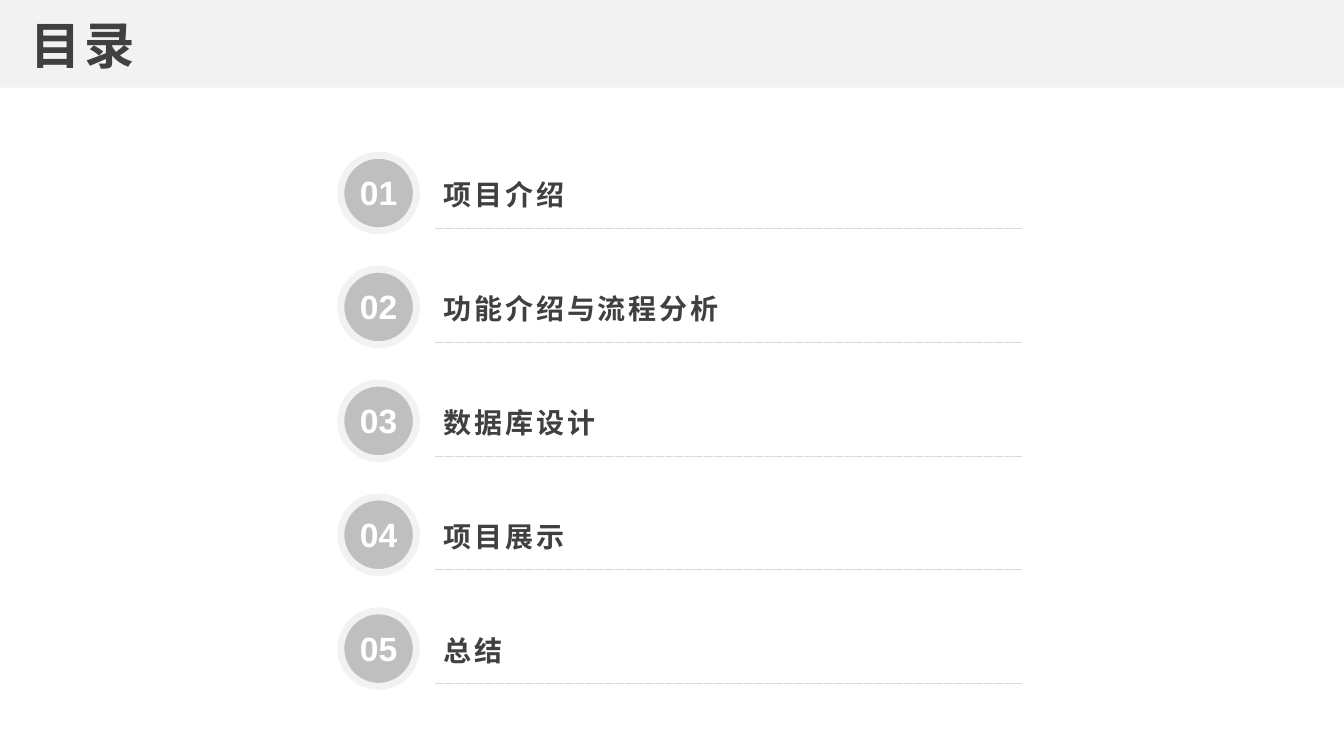
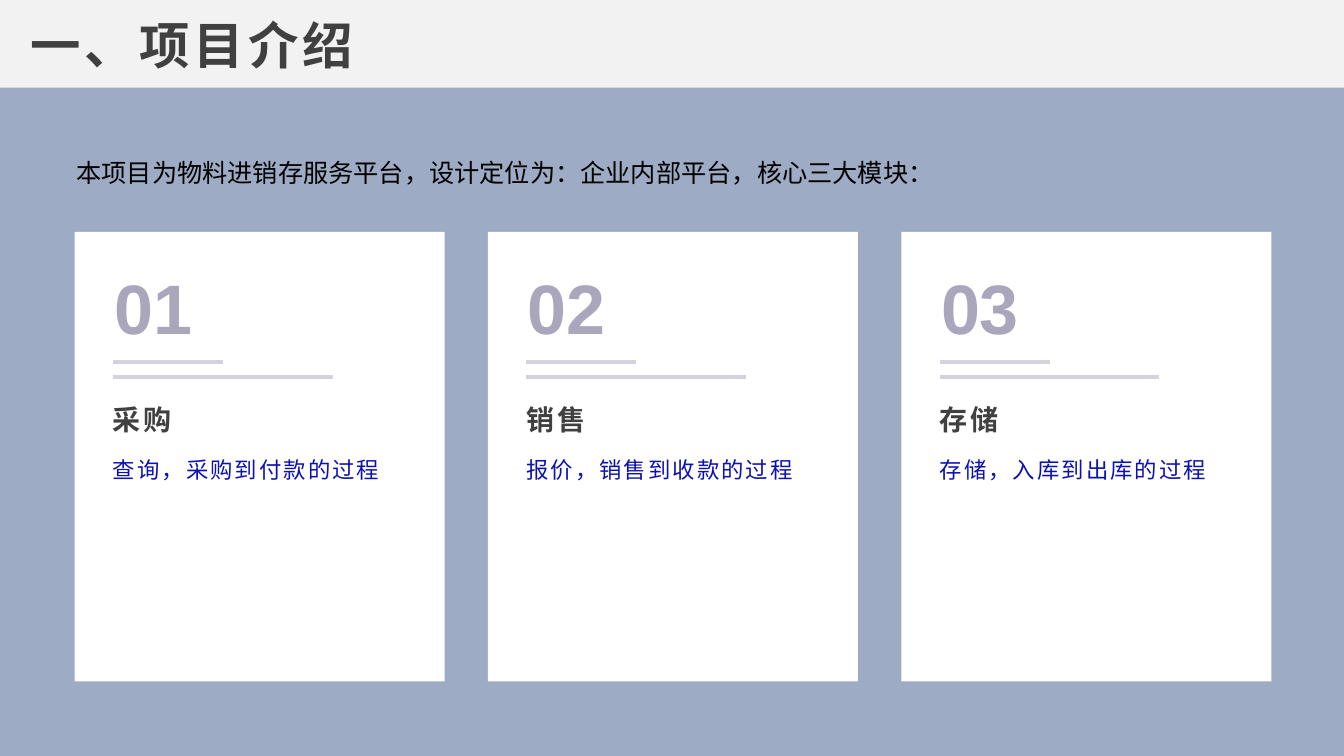
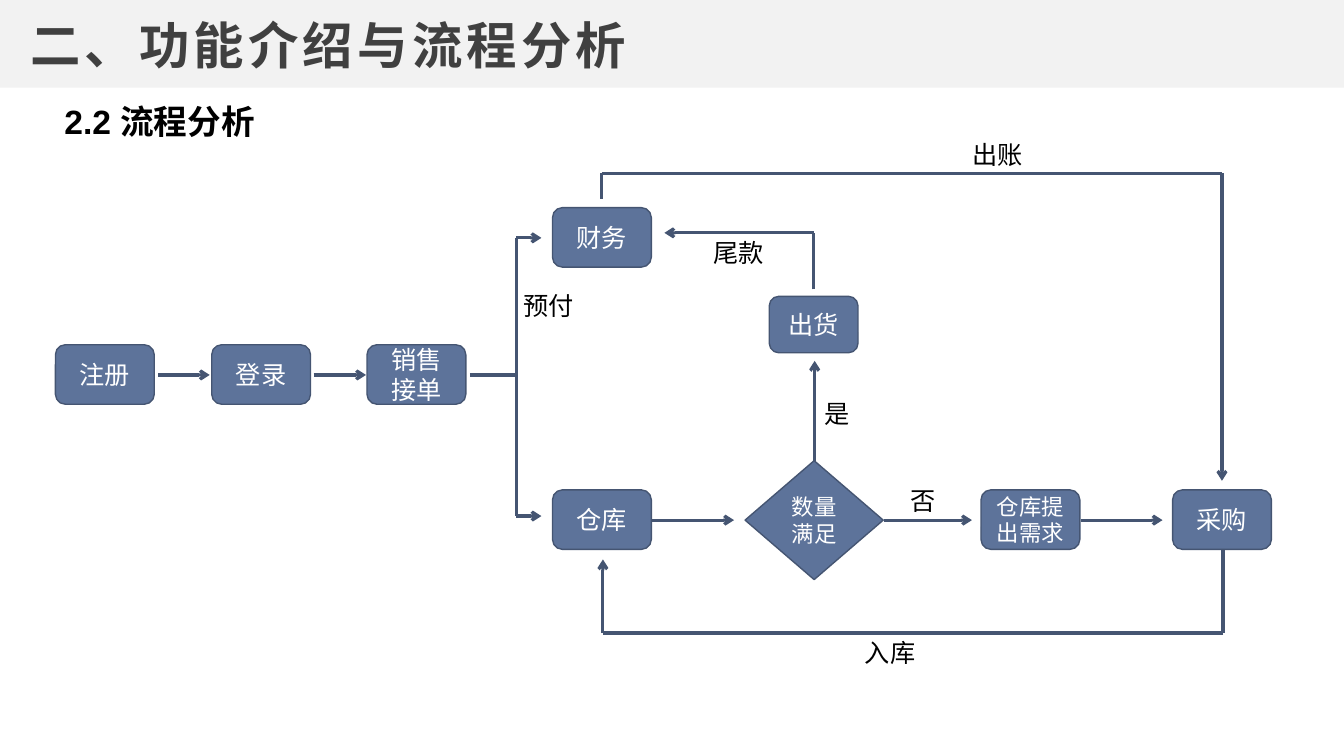
from itertools import pairwise

from lxml.etree import SubElement
from pptx import Presentation
from pptx.dml.color import RGBColor
from pptx.enum.dml import MSO_LINE
from pptx.enum.shapes import MSO_CONNECTOR, MSO_SHAPE
from pptx.enum.text import MSO_ANCHOR, MSO_AUTO_SIZE, PP_ALIGN
from pptx.oxml.ns import qn
from pptx.util import Inches, Pt

FONT = "Arial"
COLORS = {
    "band": "F2F2F2", "title": "404040", "white": "FFFFFF", "black": "000000",
    "disc": "BFBFBF", "rule": "D9D9D9", "back": "9DABC4", "bar": "D4D3DD",
    "digit": "AAA7BC", "note": "0D11B2", "node": "5D739A", "edge": "455572",
}
INSETS = (0.1, 0.05, 0.1, 0.05)
LABEL = (0.11, 0.04, 0.08, 0.04)

TOPICS = ["项目介绍", "功能介绍与流程分析", "数据库设计", "项目展示", "总结"]
CARDS = [
    ("采购", "查询，采购到付款的过程"),
    ("销售", "报价，销售到收款的过程"),
    ("存储", "存储，入库到出库的过程"),
]
BOX = (0.98, 0.59)
NODES = [
    ("注册", (0.55, 3.42, *BOX), 18),
    ("登录", (2.1, 3.42, *BOX), 18),
    ("销售接单", (3.64, 3.42, *BOX), 18),
    ("财务", (5.48, 2.06, *BOX), 18),
    ("仓库", (5.48, 4.86, *BOX), 18),
    ("出货", (7.63, 2.94, 0.88, 0.56), 18),
    ("仓库提出需求", (9.73, 4.86, *BOX), 16),
    ("采购", (11.63, 4.86, *BOX), 18),
]
ROUTES = [
    [(1.57, 3.72), (2.08, 3.72)],
    [(3.11, 3.72), (3.63, 3.72)],
    [(4.66, 3.72), (5.12, 3.72), (5.12, 2.36), (5.37, 2.36)],
    [(5.12, 3.72), (5.12, 5.12), (5.37, 5.12)],
    [(6.47, 5.16), (7.28, 5.16)],
    [(8.08, 4.57), (8.08, 3.58)],
    [(8.07, 2.87), (8.07, 2.31), (6.59, 2.31)],
    [(8.77, 5.16), (9.64, 5.16)],
    [(10.72, 5.16), (11.53, 5.16)],
    [(12.13, 5.45), (12.13, 6.28), (5.98, 6.28), (5.98, 5.55)],
    [(5.97, 1.97), (5.97, 1.72), (12.12, 1.72), (12.12, 4.77)],
]
TAGS = [
    ("是", (8.08, 3.9, 0.4, 0.4)),
    ("否", (8.93, 4.77, 0.4, 0.4)),
    ("出账", (9.55, 1.33, 0.8, 0.4)),
    ("入库", (8.48, 6.27, 1.72, 0.4)),
    ("尾款", (6.98, 2.31, 1.18, 0.4)),
    ("预付", (5.09, 2.83, 1.65, 0.4)),
]


def color(name):
    return RGBColor.from_string(COLORS[name])


def inches(values):
    return [Inches(value) for value in values]


def write(shape, words, size, ink, bold=False, gap=0, align=PP_ALIGN.LEFT,
          anchor=MSO_ANCHOR.TOP, insets=INSETS):
    """Fill a shape with one styled paragraph; gap is letter spacing in points."""
    frame = shape.text_frame
    frame.text = words
    frame.word_wrap = True
    frame.auto_size = MSO_AUTO_SIZE.NONE
    frame.vertical_anchor = anchor
    (frame.margin_left, frame.margin_top,
     frame.margin_right, frame.margin_bottom) = inches(insets)
    para = frame.paragraphs[0]
    para.alignment = align
    for run in para.runs:
        font = run.font
        font.name, font.size, font.bold = FONT, Pt(size), bold
        font.color.rgb = color(ink)
        if gap:
            run._r.get_or_add_rPr().set("spc", str(int(gap * 100)))
    return para


def add_text(slide, words, place, size, ink, **style):
    return write(slide.shapes.add_textbox(*inches(place)), words, size, ink, **style)


def add_block(slide, kind, place, fill, edge=None, width=1):
    shape = slide.shapes.add_shape(kind, *inches(place))
    shape.shadow.inherit = False
    shape.fill.solid()
    shape.fill.fore_color.rgb = color(fill)
    if edge:
        shape.line.color.rgb = color(edge)
        shape.line.width = Pt(width)
    else:
        shape.line.fill.background()
    return shape


def add_line(slide, start, end, ink, width, dash=None, arrow=False):
    link = slide.shapes.add_connector(MSO_CONNECTOR.STRAIGHT, *inches(start + end))
    link.line.color.rgb = color(ink)
    link.line.width = Pt(width)
    if dash:
        link.line.dash_style = dash
    if arrow:
        SubElement(link.line._get_or_add_ln(), qn("a:tailEnd"), type="arrow")
    SubElement(link._element.spPr, qn("a:effectLst"))


def add_route(slide, points):
    """Draw joined straight lines with an arrowhead at the last point."""
    for start, end in pairwise(points):
        add_line(slide, start, end, "edge", 2.25, arrow=end == points[-1])


def add_page(deck, title):
    slide = deck.slides.add_slide(deck.slide_layouts.get_by_name("Title Only"))
    band = add_block(slide, MSO_SHAPE.RECTANGLE, (0, 0, 13.33, 0.87), "band")
    head = slide.shapes.title
    head.left, head.top, head.width, head.height = inches((0.19, 0.09, 11.56, 0.69))
    write(head, title, 36, "title", bold=True, gap=3, anchor=MSO_ANCHOR.MIDDLE,
          insets=(0.11, 0.04, 0.07, 0.04))
    band.element.addnext(head.element)
    return slide


def add_topic(slide, index, words):
    top = 1.54 + 1.13 * index
    add_line(slide, (4.31, top + 0.72), (10.14, top + 0.72), "rule", 0.1,
             dash=MSO_LINE.DASH)
    add_text(slide, words, (4.29, top + 0.18, 3.12, 0.42), 20, "title",
             bold=True, gap=2, insets=LABEL)
    add_block(slide, MSO_SHAPE.OVAL, (3.38, top, 0.75, 0.75), "disc", "band", 5)
    add_text(slide, f"{index + 1:02}", (3.45, top + 0.12, 0.61, 0.5), 24, "white",
             bold=True, align=PP_ALIGN.CENTER)


def add_card(slide, index, name, note):
    left = 0.74 + 4.1 * index
    add_block(slide, MSO_SHAPE.RECTANGLE, (left, 2.3, 3.67, 4.46), "white")
    for top, width in ((3.59, 1.09), (3.74, 2.18)):
        add_line(slide, (left + 0.38, top), (left + 0.38 + width, top), "bar", 3)
    add_text(slide, name, (left + 0.27, 3.95, 3.12, 0.42), 20, "title",
             bold=True, gap=2, insets=LABEL)
    para = add_text(slide, note, (left + 0.27, 4.44, 3.12, 1.89), 16, "note",
                    gap=1.5, insets=(0.11, 0, 0.09, 0))
    para.line_spacing = 1.3
    para.space_after = Pt(10)
    add_text(slide, f"{index + 1:02}", (left + 0.31, 2.64, 0.94, 0.81), 50, "digit",
             bold=True, align=PP_ALIGN.CENTER, anchor=MSO_ANCHOR.MIDDLE,
             insets=(0, 0, 0, 0))


def add_node(slide, words, place, size, kind=MSO_SHAPE.ROUNDED_RECTANGLE):
    shape = add_block(slide, kind, place, "node", "edge")
    write(shape, words, size, "white", align=PP_ALIGN.CENTER,
          anchor=MSO_ANCHOR.MIDDLE)


def add_agenda(deck):
    slide = add_page(deck, "目录")
    for index, words in enumerate(TOPICS):
        add_topic(slide, index, words)


def add_intro(deck):
    slide = add_page(deck, "一、项目介绍")
    slide.background.fill.solid()
    slide.background.fill.fore_color.rgb = color("back")
    add_text(slide, "本项目为物料进销存服务平台，设计定位为：企业内部平台，核心三大模块：",
             (0.66, 1.51, 9.82, 0.4), 18, "black")
    for index, (name, note) in enumerate(CARDS):
        add_card(slide, index, name, note)


def add_flow(deck):
    slide = add_page(deck, "二、功能介绍与流程分析")
    add_text(slide, "2.2 流程分析", (0.54, 0.95, 2.33, 0.5), 24, "black", bold=True)
    for words, place, size in NODES:
        add_node(slide, words, place, size)
    add_node(slide, "数量 满足", (7.39, 4.57, 1.37, 1.18), 16, MSO_SHAPE.DIAMOND)
    for points in ROUTES:
        add_route(slide, points)
    for words, place in TAGS:
        add_text(slide, words, place, 18, "black")


def main():
    deck = Presentation()
    deck.slide_width, deck.slide_height = inches((13.33, 7.5))
    add_agenda(deck)
    add_intro(deck)
    add_flow(deck)
    deck.save("out.pptx")


if __name__ == "__main__":
    main()
